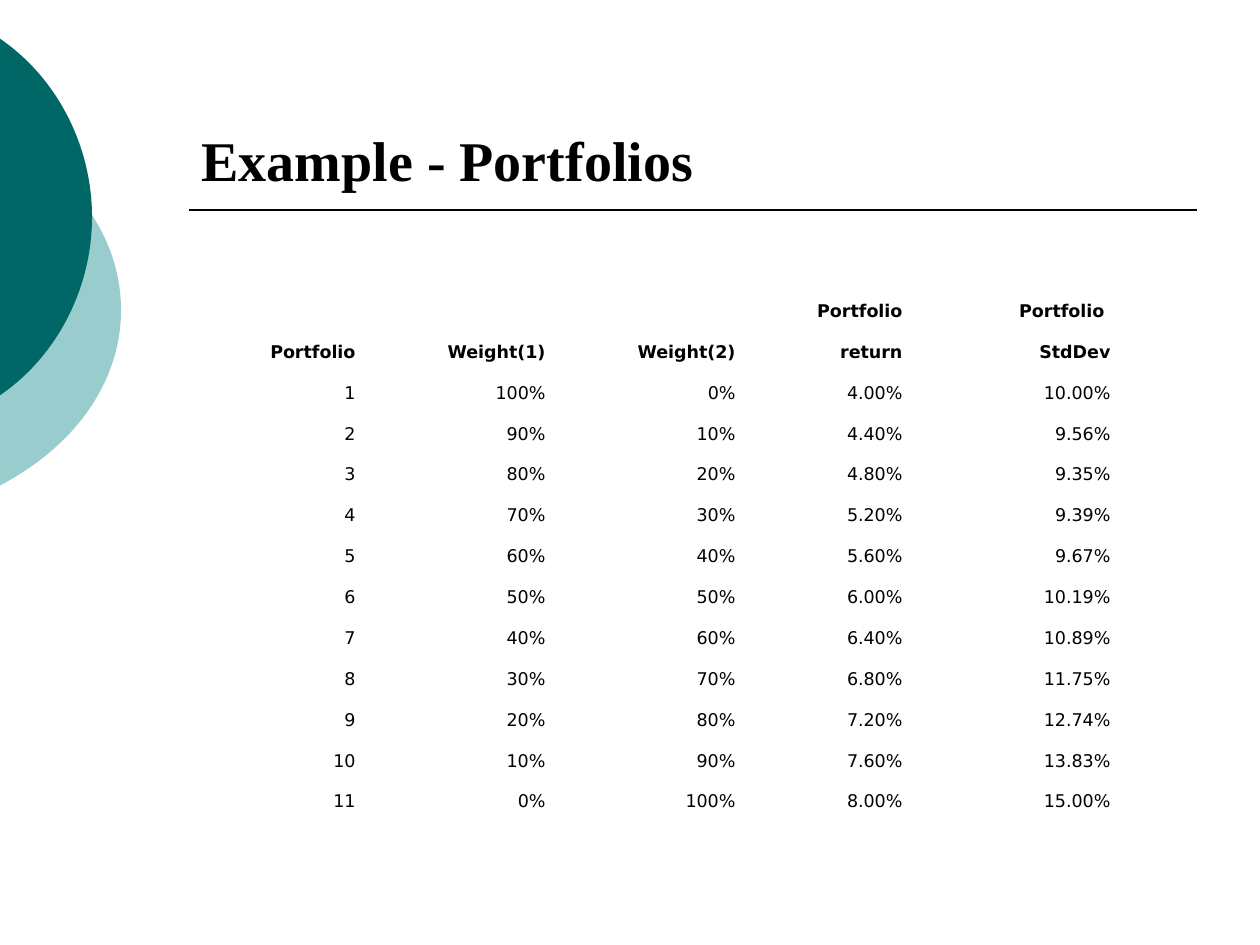
"""Build the portfolio example slide with its table of weights, returns and deviations."""
import pptx
import pptx.dml.color
import pptx.enum.shapes
import pptx.enum.text
import pptx.oxml.ns
import pptx.util
import lxml.etree

PX = 914400 / 126
qn = pptx.oxml.ns.qn


def px(length):
    return pptx.util.Emu(round(length * PX))


def colour(value):
    return pptx.dml.color.RGBColor.from_string(value)


deck = pptx.Presentation()
deck.slide_width, deck.slide_height = px(1260), px(945)
slide = deck.slides.add_slide(deck.slide_layouts[5])

discs = [
    ("99CCCC", -446, 94, 567, 432, [(-1, -176), (76, -136), (121, -71), (121, 0)]),
    ("006666", -334, 0, 426, 434, [(-1, -179), (58, -139), (92, -70), (92, 0)]),
]
for fill, left, top, width, height, upper in discs:
    right, bottom = left + width, top + height
    builder = slide.shapes.build_freeform(px(left), px(top), scale=1.0)
    builder.add_line_segments(
        [(px(right), px(top)), (px(right), px(bottom)), (px(left), px(bottom))], close=True)
    disc = builder.convert_to_shape()
    disc.shadow.inherit = False
    disc.fill.solid()
    disc.fill.fore_color.rgb = colour(fill)
    disc.line.fill.background()

    arc = upper + [(x, -y) for x, y in reversed(upper[:-1])]
    arc = [(px(x - left), px(height / 2 + y)) for x, y in arc]
    outline = disc.element.spPr.find(".//" + qn("a:path"))
    for segment in list(outline):
        outline.remove(segment)
    for command, points in [("moveTo", arc[:1]), ("cubicBezTo", arc[1:4]),
                            ("cubicBezTo", arc[4:]), ("lnTo", arc[:1]), ("close", [])]:
        segment = lxml.etree.SubElement(outline, qn("a:" + command))
        for x, y in points:
            lxml.etree.SubElement(segment, qn("a:pt"), x=str(x), y=str(y))

title_rule = slide.shapes.add_connector(
    pptx.enum.shapes.MSO_CONNECTOR.STRAIGHT, px(189), px(210), px(1197), px(210))
title_rule.line.color.rgb = colour("000000")
title_rule.line.width = pptx.util.Pt(1)
lxml.etree.SubElement(title_rule.element.spPr, qn("a:effectLst"))

title = slide.shapes.title
title.left, title.top, title.width, title.height = px(189), px(42), px(1008), px(157)
title.text_frame.text = "Example - Portfolios"
title.text_frame.auto_size = pptx.enum.text.MSO_AUTO_SIZE.NONE
title.text_frame.vertical_anchor = pptx.enum.text.MSO_ANCHOR.BOTTOM
heading = title.text_frame.paragraphs[0]
heading.alignment = pptx.enum.text.PP_ALIGN.LEFT
for run in heading.runs:
    run.font.name = "Times New Roman"
    run.font.size = pptx.util.Pt(32)
    run.font.bold = True
    run.font.color.rgb = colour("000000")

deviations = [10, 9.56, 9.35, 9.39, 9.67, 10.19, 10.89, 11.75, 12.74, 13.83, 15]
rows = [
    ["", "", "", "Portfolio", "Portfolio "],
    ["Portfolio", "Weight(1)", "Weight(2)", "return", "StdDev"],
]
for index, deviation in enumerate(deviations):
    rows.append([str(index + 1), f"{100 - 10 * index}%", f"{10 * index}%",
                 f"{4 + 0.4 * index:.2f}%", f"{deviation:.2f}%"])

column_widths = [252, 190, 190, 167, 208]
table_height, first_height = 567, 76
row_height = (table_height - first_height) / (len(rows) - 1)
frame = slide.shapes.add_table(
    len(rows), len(column_widths), px(116), px(252), px(sum(column_widths)), px(table_height))
portfolios = frame.table
portfolios.first_row = False
portfolios.horz_banding = False
style_id = frame.element.find(".//" + qn("a:tableStyleId"))
style_id.text = "{2D5ABB26-0587-4C30-8999-92F81FD0307C}"
for column, width in zip(portfolios.columns, column_widths):
    column.width = px(width)
for row in portfolios.rows:
    row.height = px(row_height)
portfolios.rows[0].height = px(first_height)

for row_index, values in enumerate(rows):
    for column_index, value in enumerate(values):
        cell = portfolios.cell(row_index, column_index)
        cell.fill.background()
        cell.vertical_anchor = pptx.enum.text.MSO_ANCHOR.BOTTOM
        cell.text_frame.text = value
        entry = cell.text_frame.paragraphs[0]
        entry.alignment = pptx.enum.text.PP_ALIGN.RIGHT
        for run in entry.runs:
            run.font.name = "DejaVu Sans"
            run.font.size = pptx.util.Pt(10)
            run.font.bold = row_index < 2
            run.font.color.rgb = colour("000000")

deck.save("out.pptx")
